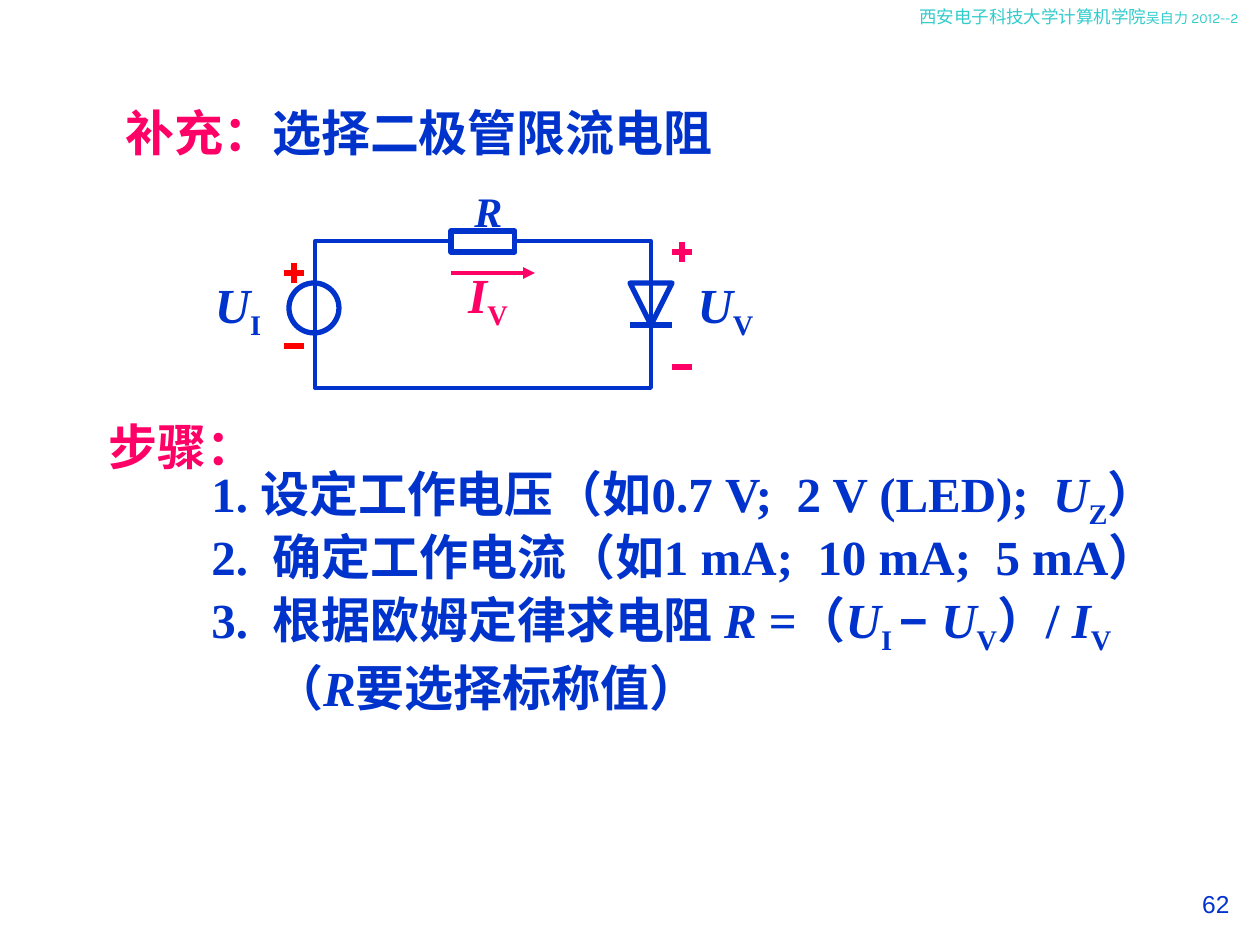
from dataclasses import dataclass
from typing import Optional

import pptx
import pptx.dml.color
import pptx.enum.shapes
import pptx.enum.text
import pptx.oxml
import pptx.oxml.ns
import pptx.util

EMU_PER_PX = 914400 // 126
SHAPE = pptx.enum.shapes.MSO_SHAPE
ALIGN = pptx.enum.text.PP_ALIGN
ANCHOR = pptx.enum.text.MSO_ANCHOR
FIT = pptx.enum.text.MSO_AUTO_SIZE


@dataclass(frozen=True)
class Theme:
    blue: str = "0033CC"
    pink: str = "FF0066"
    red: str = "FF0000"
    teal: str = "33CCCC"
    white: str = "FFFFFF"
    serif: str = "Times New Roman"
    sans: str = "Arial"
    header_font: str = "Karla"
    body: int = 28
    resistor: int = 24
    number: int = 14
    header: int = 10
    author: int = 8
    wire: float = 2.25
    thick: float = 3


THEME = Theme()


@dataclass(frozen=True)
class Span:
    text: str
    italic: bool = False
    subscript: bool = False
    color: Optional[str] = None
    font: Optional[str] = None
    size: Optional[int] = None


@dataclass(frozen=True)
class Label:
    left: int
    top: int
    width: int
    height: int
    spans: tuple[Span, ...]
    color: str = THEME.blue
    font: str = THEME.serif
    size: int = THEME.body
    bold: bool = True
    align: ALIGN = ALIGN.LEFT
    anchor: ANCHOR = ANCHOR.TOP
    wrap: bool = True
    grow: bool = True


@dataclass(frozen=True)
class Part:
    kind: SHAPE
    left: int
    top: int
    width: int
    height: int
    weight: float = THEME.thick
    fill: Optional[str] = None


@dataclass(frozen=True)
class Stroke:
    x1: int
    y1: int
    x2: int
    y2: int
    color: str
    weight: float = THEME.thick
    arrow: bool = False


def px(length: int) -> pptx.util.Emu:
    return pptx.util.Emu(length * EMU_PER_PX)


def rgb(color: str) -> pptx.dml.color.RGBColor:
    return pptx.dml.color.RGBColor.from_string(color)


def italic(text: str) -> Span:
    return Span(text, italic=True)


def symbol(letter: str, index: str) -> tuple[Span, Span]:
    return italic(letter), Span(index, subscript=True)


def symbol_label(left: int, top: int, width: int, letter: str, index: str, color: str) -> Label:
    return Label(left, top, width, 79, symbol(letter, index), color,
                 align=ALIGN.CENTER, anchor=ANCHOR.MIDDLE)


def draw_label(page, label: Label) -> None:
    box = page.shapes.add_textbox(*map(px, (label.left, label.top, label.width, label.height)))
    frame = box.text_frame
    frame.word_wrap = label.wrap
    frame.auto_size = FIT.SHAPE_TO_FIT_TEXT if label.grow else FIT.NONE
    frame.vertical_anchor = label.anchor
    para = frame.paragraphs[0]
    para.alignment = label.align
    para.font.name = label.font
    para.font.size = pptx.util.Pt(label.size)
    para.font.bold = label.bold
    para.font.color.rgb = rgb(label.color)
    for span in label.spans:
        run = para.add_run()
        run.text = span.text
        if span.italic:
            run.font.italic = True
        if span.color:
            run.font.color.rgb = rgb(span.color)
        if span.font:
            run.font.name = span.font
        if span.size:
            run.font.size = pptx.util.Pt(span.size)
        if span.subscript:
            run._r.get_or_add_rPr().set("baseline", "-25000")


def draw_part(page, part: Part) -> None:
    shape = page.shapes.add_shape(part.kind, *map(px, (part.left, part.top, part.width, part.height)))
    shape.shadow.inherit = False
    shape.line.color.rgb = rgb(THEME.blue)
    shape.line.width = pptx.util.Pt(part.weight)
    if part.fill:
        shape.fill.solid()
        shape.fill.fore_color.rgb = rgb(part.fill)
    else:
        shape.fill.background()


def draw_stroke(page, stroke: Stroke) -> None:
    line = page.shapes.add_connector(pptx.enum.shapes.MSO_CONNECTOR.STRAIGHT,
                                     *map(px, (stroke.x1, stroke.y1, stroke.x2, stroke.y2)))
    line.line.color.rgb = rgb(stroke.color)
    line.line.width = pptx.util.Pt(stroke.weight)
    properties = line._element.spPr
    if stroke.arrow:
        outline = line.line._get_or_add_ln()
        outline.append(pptx.oxml.parse_xml(
            f'<a:tailEnd {pptx.oxml.ns.nsdecls("a")} type="triangle"/>'))
    properties.append(pptx.oxml.parse_xml(f'<a:effectLst {pptx.oxml.ns.nsdecls("a")}/>'))


def polarity(center: int, plus: int, minus: int, color: str) -> tuple[Stroke, ...]:
    half = 10
    return (Stroke(center, plus - half, center, plus + half, color),
            *(Stroke(center - half, y, center + half, y, color) for y in (plus, minus)))


LABELS = (
    Label(907, 0, 353, 50, (Span("西安电子科技大学计算机学院"),
                            Span("吴自力 2012--2", size=THEME.author)),
          THEME.teal, THEME.header_font, THEME.header, False),
    Label(927, 883, 315, 66, (Span("62"),), font=THEME.sans, size=THEME.number,
          bold=False, align=ALIGN.RIGHT, grow=False),
    Label(113, 96, 703, 72, (Span("补充：", color=THEME.pink), Span("选择二极管限流电阻"))),
    Label(96, 410, 171, 72, (Span("步骤："),), THEME.pink, wrap=False),
    Label(199, 457, 1008, 139, (Span("1. 设定工作电压（如0.7 V;  2 V (LED);  "),
                                *symbol("U", "Z"), Span("）"))),
    Label(199, 520, 1061, 72, (Span("2.  确定工作电流（如1 mA;  10 mA;  5 mA）"),)),
    Label(199, 583, 1018, 79, (Span("3.  根据欧姆定律求电阻 "), italic("R "), Span("=（"),
                               *symbol("U", "I "), Span("− ", font=THEME.sans),
                               *symbol("U", "V"), Span("）/ "), *symbol("I", "V"))),
    Label(262, 651, 672, 72, (Span("（"), italic("R"), Span("要选择标称值）"))),
    Label(462, 179, 73, 63, (italic("R"),), size=THEME.resistor),
    symbol_label(189, 268, 98, "U", "I", THEME.blue),
    symbol_label(672, 268, 107, "U", "V", THEME.blue),
    symbol_label(420, 258, 136, "I", "V", THEME.pink),
)

PARTS = (
    Part(SHAPE.FLOWCHART_MERGE, 630, 283, 42, 42),
    Part(SHAPE.RECTANGLE, 315, 241, 336, 147, THEME.wire),
    Part(SHAPE.RECTANGLE, 451, 231, 64, 21, fill=THEME.white),
    Part(SHAPE.OVAL, 289, 283, 50, 50),
)

STROKES = (
    Stroke(630, 325, 672, 325, THEME.blue),
    Stroke(451, 273, 535, 273, THEME.pink, THEME.wire, True),
    *polarity(294, 273, 346, THEME.red),
    *polarity(682, 252, 367, THEME.pink),
)


def main() -> None:
    deck = pptx.Presentation()
    deck.slide_width, deck.slide_height = px(1260), px(945)
    page = deck.slides.add_slide(deck.slide_layouts[6])
    for part in PARTS:
        draw_part(page, part)
    for stroke in STROKES:
        draw_stroke(page, stroke)
    for label in LABELS:
        draw_label(page, label)
    deck.save("out.pptx")


if __name__ == "__main__":
    main()
